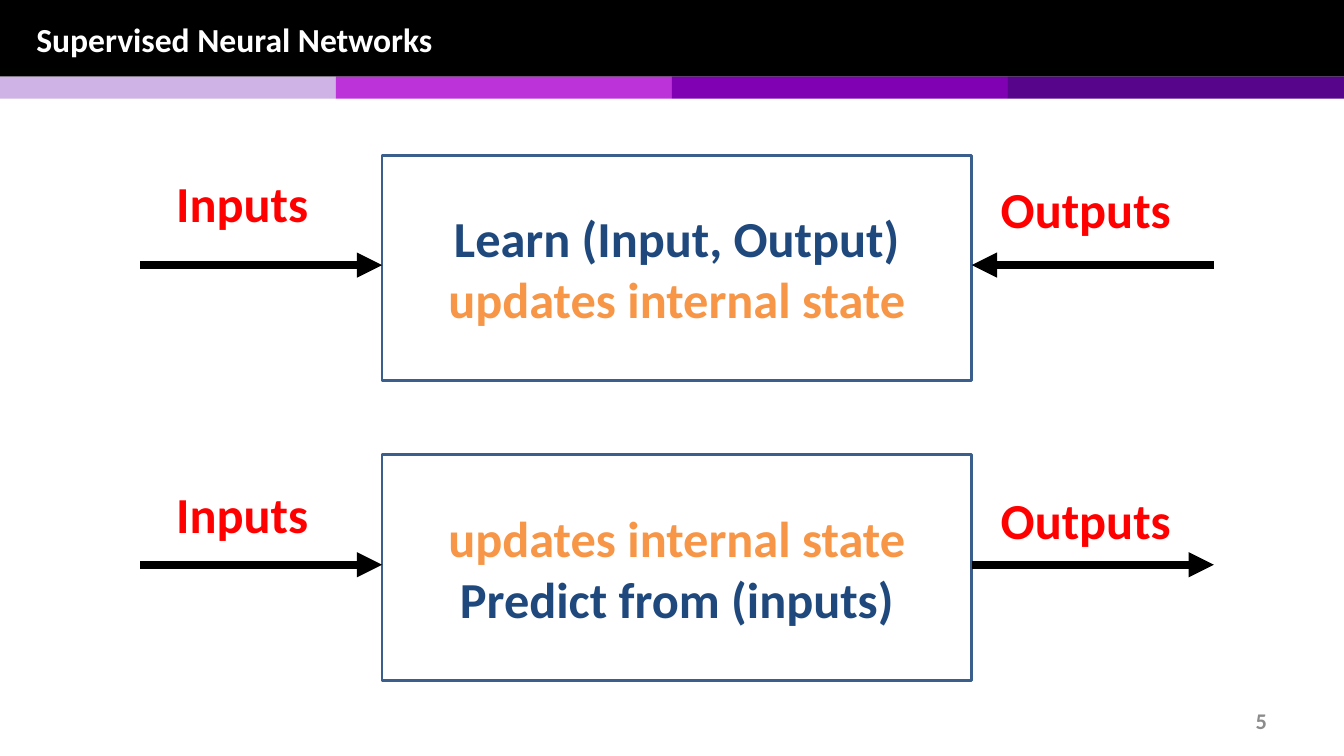
from dataclasses import dataclass

from lxml.etree import SubElement
from pptx import Presentation
from pptx.dml.color import RGBColor
from pptx.enum.shapes import MSO_CONNECTOR, MSO_SHAPE
from pptx.enum.text import MSO_ANCHOR as Anchor, PP_ALIGN as Align
from pptx.oxml.ns import qn
from pptx.util import Cm, Pt


@dataclass(frozen=True)
class Theme:
    font: str = "Calibri"
    black: str = "000000"
    white: str = "FFFFFF"
    navy: str = "1F497D"
    orange: str = "F79646"
    red: str = "FF0000"
    grey: str = "8C8C8C"
    border: str = "3A5F8C"
    stripes: tuple = ("CFB3E6", "BD33DA", "8000B3", "57058A")
    title_size: int = 24
    diagram_size: int = 36
    number_size: int = 16


theme = Theme()
rgb = RGBColor.from_string


def write(shape, *lines, size, align=Align.LEFT, anchor=Anchor.MIDDLE, wrap=True):
    """Fill a shape with one bold paragraph per (text, colour) pair."""
    frame = shape.text_frame
    frame.word_wrap = wrap
    frame.vertical_anchor = anchor
    for index, (text, color) in enumerate(lines):
        paragraph = frame.add_paragraph() if index else frame.paragraphs[0]
        paragraph.text = text
        paragraph.alignment = align
        paragraph.space_before = Pt(0)
        font = paragraph.font
        font.name, font.size, font.bold = theme.font, Pt(size), True
        font.color.rgb = rgb(color)


def add_box(left, top, width, height, fill=None, border=None):
    box = shapes.add_shape(MSO_SHAPE.RECTANGLE, Cm(left), Cm(top), Cm(width), Cm(height))
    box.shadow.inherit = False
    if fill:
        box.fill.solid()
        box.fill.fore_color.rgb = rgb(fill)
    else:
        box.fill.background()
    if border:
        box.line.color.rgb = rgb(border)
        box.line.width = Pt(2)
    else:
        box.line.fill.background()
    return box


SLIDE_WIDTH = 33.87
presentation = Presentation()
presentation.slide_width, presentation.slide_height = Cm(SLIDE_WIDTH), Cm(19.05)
slide = presentation.slides.add_slide(presentation.slide_layouts[5])
shapes = slide.shapes

# Header band, placed behind the title
title = shapes.title
title.left, title.top, title.width, title.height = Cm(0.66), Cm(0.03), Cm(32.56), Cm(1.9)
write(title, ("Supervised Neural Networks", theme.white), size=theme.title_size)
header = add_box(0, 0, SLIDE_WIDTH, 1.93, fill=theme.black)
title.element.addprevious(header.element)

stripe_width = SLIDE_WIDTH / len(theme.stripes)
for column, color in enumerate(theme.stripes):
    add_box(column * stripe_width, 1.93, stripe_width, 0.56, fill=color)

page_number = shapes.add_textbox(Cm(24.28), Cm(17.65), Cm(7.9), Cm(1.02))
write(page_number, ("5", theme.grey), size=theme.number_size, align=Align.RIGHT)

# Learning and prediction stages
BOX_LEFT, BOX_WIDTH, BOX_HEIGHT = 9.63, 14.86, 5.69
BOX_RIGHT = BOX_LEFT + BOX_WIDTH
ARROW_LENGTH, ARROW_DROP = 6.1, 2.77
FAR_LEFT, FAR_RIGHT = BOX_LEFT - ARROW_LENGTH, BOX_RIGHT + ARROW_LENGTH

state = ("updates internal state", theme.orange)
learn = ("Learn (Input, Output)", theme.navy)
predict = ("Predict from (inputs)", theme.navy)
stages = [
    # box top, label top, box lines, output arrow from and to
    (3.91, 4.22, (learn, state), (FAR_RIGHT, BOX_RIGHT)),
    (11.46, 12.04, (state, predict), (BOX_RIGHT, FAR_RIGHT)),
]

for box_top, label_top, lines, output_span in stages:
    stage = add_box(BOX_LEFT, box_top, BOX_WIDTH, BOX_HEIGHT, border=theme.border)
    write(stage, *lines, size=theme.diagram_size, align=Align.CENTER)

    arrow_y = Cm(box_top + ARROW_DROP)
    for start, end in ((FAR_LEFT, BOX_LEFT), output_span):
        arrow = shapes.add_connector(
            MSO_CONNECTOR.STRAIGHT, Cm(start), arrow_y, Cm(end), arrow_y)
        arrow.line.color.rgb = rgb(theme.black)
        arrow.line.width = Pt(6)
        SubElement(arrow.line._get_or_add_ln(), qn("a:tailEnd"), type="triangle")
        SubElement(arrow.element.spPr, qn("a:effectLst"))

    for text, left, top, width in (
        ("Inputs", 4.19, label_top, 4.19),
        ("Outputs", 24.97, label_top + 0.15, 5.16),
    ):
        label = shapes.add_textbox(Cm(left), Cm(top), Cm(width), Cm(1.8))
        write(label, (text, theme.red), size=theme.diagram_size,
              anchor=Anchor.TOP, wrap=False)

presentation.save("out.pptx")
